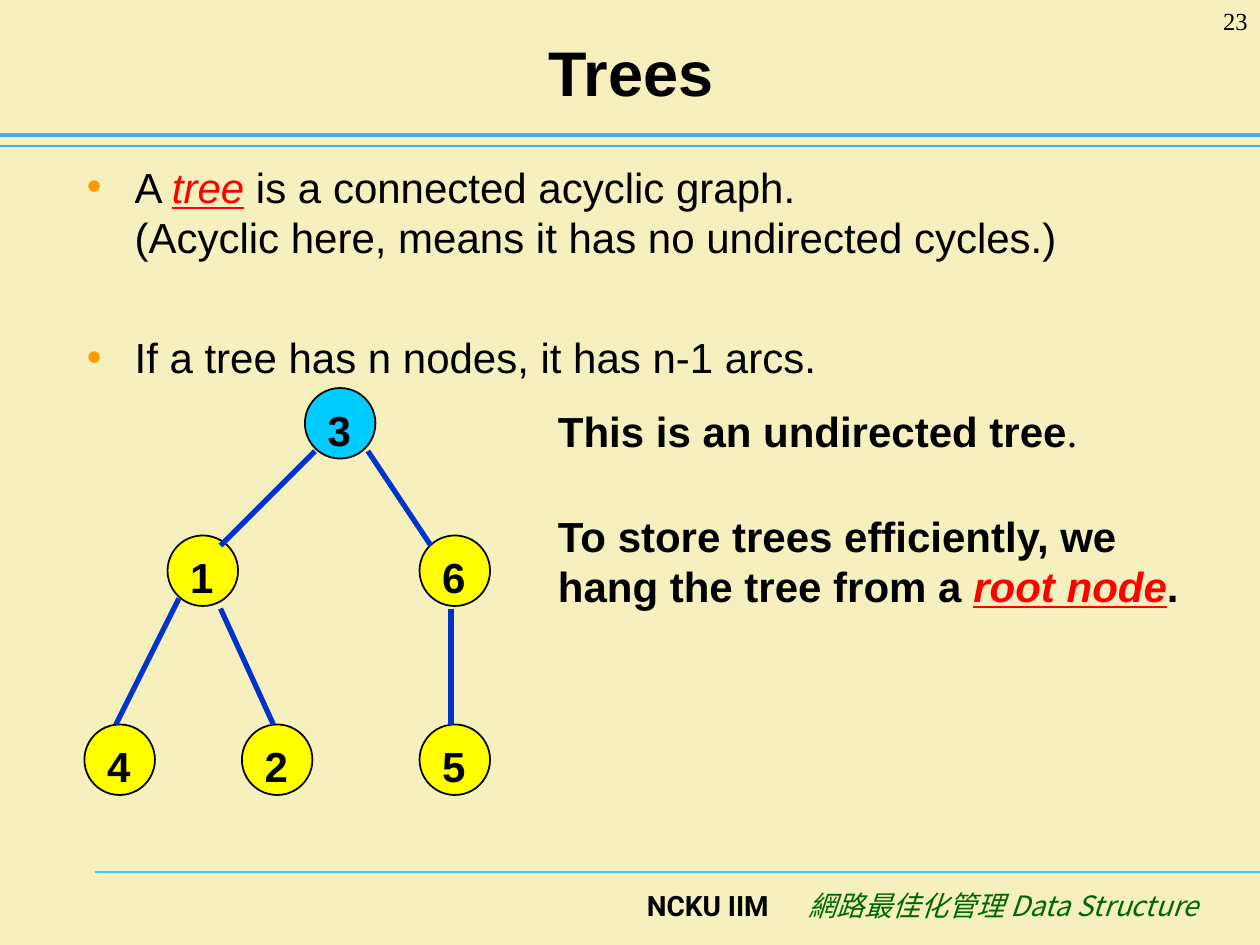
from lxml.etree import SubElement
from pptx import Presentation
from pptx.dml.color import RGBColor
from pptx.enum.shapes import MSO_CONNECTOR, MSO_SHAPE
from pptx.enum.text import MSO_ANCHOR, PP_ALIGN
from pptx.oxml.ns import qn
from pptx.util import Inches, Pt

THEME = {
    "paper": "F5F0BD", "ink": "000000", "accent": "FF0000", "bullet": "FF9900",
    "rule": "3DB0FF", "footer rule": "33CCFF", "course": "006600",
    "node": "FFFF00", "root": "00CCFF", "edge": "0033CC",
    "title size": 36, "body size": 24, "footer size": 16, "number size": 14,
    "sans": "Arial", "serif": "Times New Roman",
    "footer font": "Roboto", "course font": "Noto Sans CJK SC",
}

BOLD = {"bold": True}
TERM = {"color": "accent", "italic": True, "underline": True}
FOOTER = {"size": "footer size", "font": "footer font", "bold": True}
COURSE = {"size": "footer size", "font": "course font", "color": "course", "italic": True}
NUMBER = {"size": "number size", "font": "serif"}

RULES = [
    ((0.75, 6.92), (10, 6.92), "footer rule", 0.75),
    ((0, 1.16), (10, 1.16), "rule", 0.75),
    ((0, 1.07), (10, 1.07), "rule", 2.5),
]
TITLE = [("Trees", {"size": "title size", "bold": True})]
BULLETS = [
    [("A ", {}), ("tree", TERM),
     (" is a connected acyclic graph.\n(Acyclic here, means it has no undirected cycles.)", {})],
    [("If a tree has n nodes, it has n-1 arcs.", {})],
]
TEXTS = [
    ((1.83, 7, 4.37, 0.5), [("NCKU IIM", FOOTER)], PP_ALIGN.RIGHT),
    ((6.2, 7, 3.41, 0.5), [("網路最佳化管理 Data Structure", COURSE)], PP_ALIGN.RIGHT),
    ((4.33, 3.17, 4.75, 0.5),
     [("This is an undirected tree", BOLD), (".", {"font": "serif"})], PP_ALIGN.LEFT),
    ((4.33, 4, 5.25, 0.9),
     [("To store trees efficiently, we hang the tree from a ", BOLD),
      ("root node", BOLD | TERM), (".", BOLD)], PP_ALIGN.LEFT),
    ((9.17, 0, 0.83, 0.5), [("23", NUMBER)], PP_ALIGN.RIGHT),
]
NODE_SIZE = 0.56
LEVELS = [
    (5.75, "node", {"4": 0.67, "2": 1.92, "5": 3.33}),
    (4.25, "node", {"1": 1.33, "6": 3.33}),
]
ROOT_LEVEL = (3.08, "root", {"3": 2.42})
EDGES = [
    ((2.5, 3.58), (1.75, 4.33)), ((2.92, 3.58), (3.42, 4.33)),
    ((1.42, 4.75), (0.92, 5.75)), ((1.75, 4.83), (2.17, 5.75)),
    ((3.58, 4.83), (3.58, 5.75)),
]


def color(name):
    return RGBColor.from_string(THEME[name])


def add_spans(para, spans):
    for text, style in spans:
        for index, line in enumerate(text.split("\n")):
            if index:
                para.add_line_break()
            span = para.add_run()
            span.text = line
            font = span.font
            font.size = Pt(THEME[style.get("size", "body size")])
            font.name = THEME[style.get("font", "sans")]
            font.color.rgb = color(style.get("color", "ink"))
            font.bold = style.get("bold", False)
            font.italic = style.get("italic", False)
            font.underline = style.get("underline", False)
            SubElement(font._element, qn("a:ea"), typeface=font.name)


def add_text(page, place, spans, align=PP_ALIGN.LEFT, anchor=MSO_ANCHOR.TOP):
    frame = page.shapes.add_textbox(*map(Inches, place)).text_frame
    frame.word_wrap = True
    frame.vertical_anchor = anchor
    para = frame.paragraphs[0]
    para.alignment = align
    add_spans(para, spans)


def add_bullets(page, place, items):
    frame = page.shapes.add_textbox(*map(Inches, place)).text_frame
    frame.word_wrap = True
    for index, spans in enumerate(items):
        para = frame.add_paragraph() if index else frame.paragraphs[0]
        properties = para._p.get_or_add_pPr()
        properties.set("marL", str(Inches(0.38)))
        properties.set("indent", str(-Inches(0.38)))
        if index:
            para.space_before = Pt(40)
        tint = SubElement(properties, qn("a:buClr"))
        SubElement(tint, qn("a:srgbClr"), val=THEME["bullet"])
        SubElement(properties, qn("a:buFont"), typeface=THEME["sans"])
        SubElement(properties, qn("a:buChar"), char="•")
        add_spans(para, spans)


def add_line(page, start, end, tint, width):
    line = page.shapes.add_connector(
        MSO_CONNECTOR.STRAIGHT, *map(Inches, start + end))
    line.line.color.rgb = color(tint)
    line.line.width = Pt(width)
    SubElement(line._element.spPr, qn("a:effectLst"))


def add_level(page, top, tint, nodes):
    for label, left in nodes.items():
        node = page.shapes.add_shape(
            MSO_SHAPE.OVAL, *map(Inches, (left, top, NODE_SIZE, NODE_SIZE)))
        node.shadow.inherit = False
        node.fill.solid()
        node.fill.fore_color.rgb = color(tint)
        node.line.color.rgb = color("ink")
        node.line.width = Pt(1)
        node.text_frame.vertical_anchor = MSO_ANCHOR.TOP
        para = node.text_frame.paragraphs[0]
        para.alignment = PP_ALIGN.LEFT
        add_spans(para, [(label, BOLD)])


def main():
    """Build the slide that introduces trees."""
    deck = Presentation()
    deck.slide_width, deck.slide_height = Inches(10), Inches(7.5)
    page = deck.slides.add_slide(deck.slide_layouts[6])
    page.background.fill.solid()
    page.background.fill.fore_color.rgb = color("paper")
    for rule in RULES:
        add_line(page, *rule)
    add_text(page, (0.51, 0.13, 9, 0.87), TITLE, PP_ALIGN.CENTER, MSO_ANCHOR.MIDDLE)
    add_bullets(page, (0.59, 1.23, 9.08, 2.17), BULLETS)
    for level in LEVELS:
        add_level(page, *level)
    for start, end in EDGES:
        add_line(page, start, end, "edge", 3)
    add_level(page, *ROOT_LEVEL)
    for text in TEXTS:
        add_text(page, *text)
    deck.save("out.pptx")


if __name__ == "__main__":
    main()
